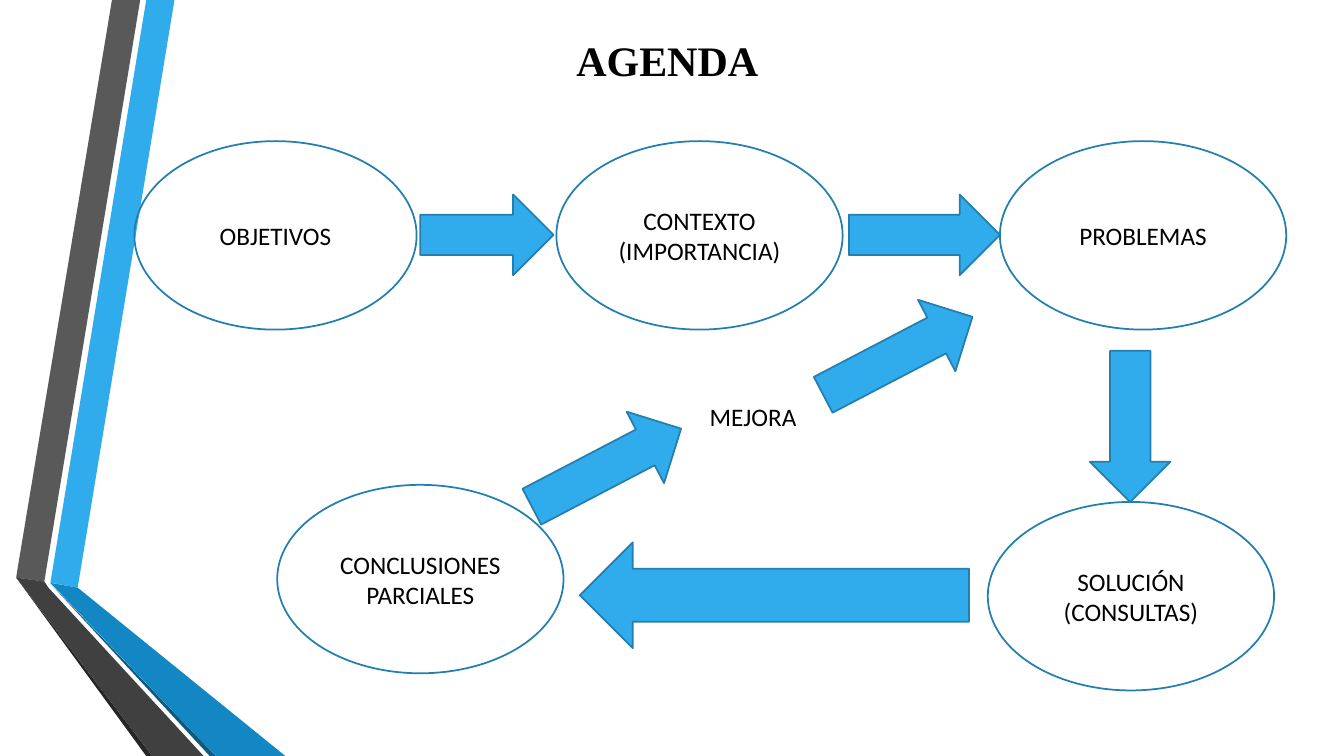
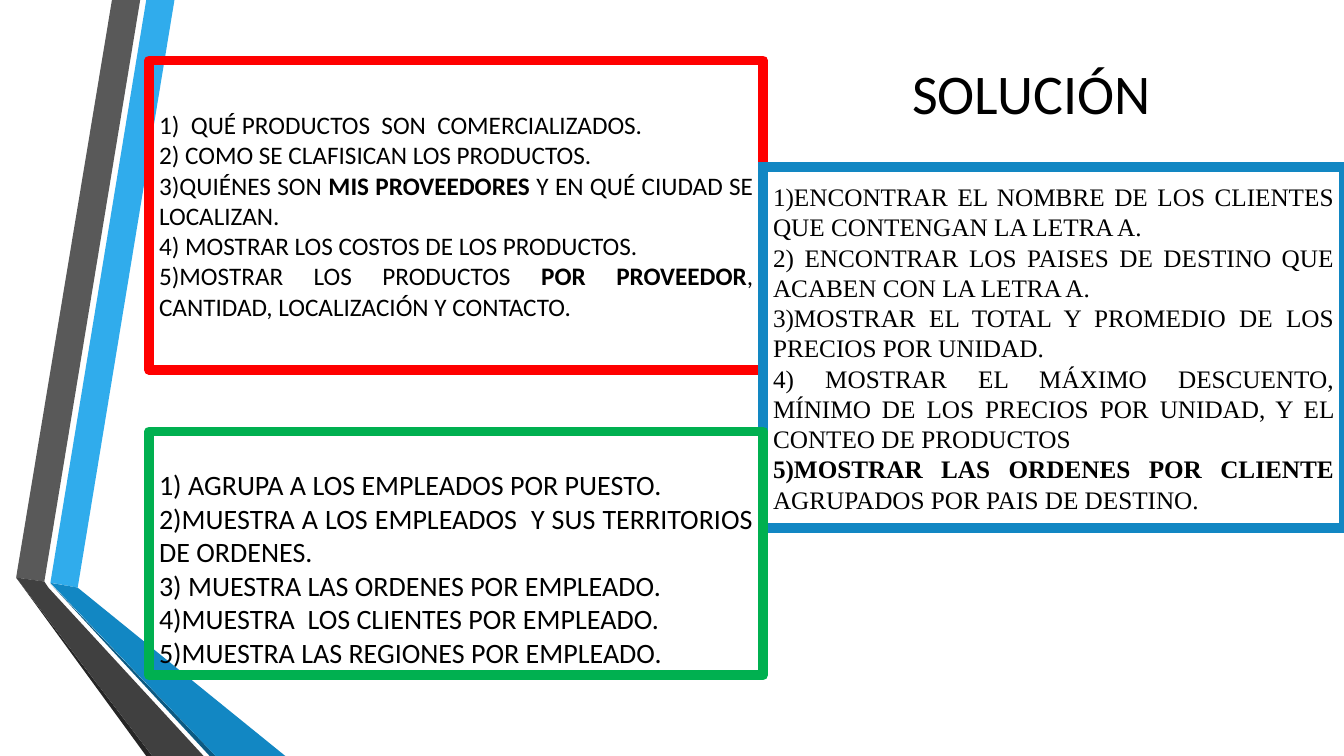
import pptx
import pptx.dml.color
import pptx.enum.shapes
import pptx.enum.text
import pptx.oxml
import pptx.oxml.ns
import pptx.util

SLIDE_WIDTH = pptx.util.Inches(13.33)
SLIDE_HEIGHT = pptx.util.Inches(7.5)

BLACK, BLUE, OUTLINE, DEEP_BLUE = "000000", "30ACEC", "247FAF", "1287C3"
RED, GREEN = "FF0000", "00B050"
SANS, SERIF = "Calibri", "Times New Roman"

SHAPE = pptx.enum.shapes.MSO_SHAPE
ALIGN = pptx.enum.text.PP_ALIGN
ANCHOR = pptx.enum.text.MSO_ANCHOR

# Corners of the side ribbon, in percent of the slide, from back to front
RIBBON = [
    (BLUE, [(3.75, 77.07), (5.78, 77.73), (12.98, 0), (10.88, 0)]),
    ("595959", [(10.43, 0), (8.33, 0), (1.2, 76.4), (3.3, 76.93)]),
    ("262626", [(1.2, 76.4), (10.88, 100), (11.33, 100)]),
    ("0C5A82", [(3.75, 77.2), (15.6, 100), (16.05, 100)]),
    (DEEP_BLUE, [(3.75, 77.1), (16.05, 100), (21.23, 100), (5.78, 77.73)]),
    ("404040", [(15.15, 100), (3.6, 77.73), (3.3, 76.93), (1.2, 76.4),
                (11.33, 100)]),
]

# Flow diagram: sizes and places in percent of the slide
STAGE_WIDTH, STAGE_HEIGHT = 21.3, 24.93
TOP_ROW = 18.67
ARROW_HEIGHT = 10.67
ARROW_ROW = 25.73
SLOPE = 332.4

STAGES = [
    (10, TOP_ROW, 21, ["OBJETIVOS"]),
    (41.4, TOP_ROW, STAGE_WIDTH, ["CONTEXTO", "(IMPORTANCIA)"]),
    (74.4, TOP_ROW, STAGE_WIDTH, ["PROBLEMAS"]),
    (73.5, 66.4, STAGE_WIDTH, ["SOLUCIÓN", "(CONSULTAS)"]),
    (20.63, 64.13, STAGE_WIDTH, ["CONCLUSIONES", "PARCIALES"]),
]

ARROWS = [
    (31.28, ARROW_ROW, 9.9, ARROW_HEIGHT, 0),
    (63.16, ARROW_ROW, 11.25, ARROW_HEIGHT, 0),
    (78.47, 51.07, 11.25, ARROW_HEIGHT, 90),
    (43.14, 71.73, 28.96, 14, 180),
    (38.86, 56.53, 12.53, ARROW_HEIGHT, SLOPE),
    (60.54, 41.73, 12.53, ARROW_HEIGHT, SLOPE),
]

# Query lists; text between asterisks is bold
PRODUCT_QUERIES = [
    "1)  QUÉ PRODUCTOS  SON  COMERCIALIZADOS.",
    "2) COMO SE CLAFISICAN LOS PRODUCTOS.",
    "3)QUIÉNES SON *MIS PROVEEDORES* Y EN QUÉ CIUDAD SE LOCALIZAN.",
    "4) MOSTRAR LOS COSTOS DE LOS PRODUCTOS.",
    "5)MOSTRAR LOS PRODUCTOS *POR PROVEEDOR*, CANTIDAD, LOCALIZACIÓN "
    "Y CONTACTO.",
]
ORDER_QUERIES = [
    "1)ENCONTRAR EL NOMBRE DE LOS CLIENTES QUE CONTENGAN LA LETRA A.",
    "2) ENCONTRAR LOS PAISES DE DESTINO QUE ACABEN CON LA LETRA A.",
    "3)MOSTRAR EL TOTAL Y PROMEDIO DE LOS PRECIOS POR UNIDAD.",
    "4) MOSTRAR EL MÁXIMO DESCUENTO, MÍNIMO DE LOS PRECIOS POR UNIDAD, "
    "Y EL CONTEO DE PRODUCTOS",
    "*5)MOSTRAR LAS ORDENES POR CLIENTE *AGRUPADOS POR PAIS DE DESTINO.",
]
EMPLOYEE_QUERIES = [
    "1) AGRUPA A LOS EMPLEADOS POR PUESTO.",
    "2)MUESTRA A LOS EMPLEADOS  Y SUS TERRITORIOS DE ORDENES.",
    "3) MUESTRA LAS ORDENES POR EMPLEADO.",
    "4)MUESTRA  LOS CLIENTES POR EMPLEADO.",
    "5)MUESTRA LAS REGIONES POR EMPLEADO.",
]


def color(hex_string):
    return pptx.dml.color.RGBColor.from_string(hex_string)


def across(percent):
    return round(SLIDE_WIDTH * percent / 100)


def down(percent):
    return round(SLIDE_HEIGHT * percent / 100)


def area(left, top, width, height):
    return across(left), down(top), across(width), down(height)


def paint(shape, fill=None, line=None, line_width=1.25):
    """Set fill and outline; None leaves the part empty."""
    shape.shadow.inherit = False
    if fill:
        shape.fill.solid()
        shape.fill.fore_color.rgb = color(fill)
    else:
        shape.fill.background()
    if line:
        shape.line.color.rgb = color(line)
        shape.line.width = pptx.util.Pt(line_width)
    else:
        shape.line.fill.background()


def write(shape, lines, size=18, font=SANS, bold=False, align=ALIGN.CENTER,
          anchor=ANCHOR.MIDDLE):
    """Write one paragraph per line, with bold between asterisks."""
    frame = shape.text_frame
    frame.word_wrap = True
    frame.vertical_anchor = anchor
    for number, line in enumerate(lines):
        paragraph = frame.paragraphs[0] if number == 0 else frame.add_paragraph()
        paragraph.alignment = align
        paragraph.font.size = pptx.util.Pt(size)
        paragraph.font.name = font
        paragraph.font.bold = bold
        paragraph.font.color.rgb = color(BLACK)
        for position, part in enumerate(line.split("*")):
            if part:
                run = paragraph.add_run()
                run.text = part
                if position % 2:
                    run.font.bold = True


def add_text(slide, place, lines, **style):
    write(slide.shapes.add_textbox(*area(*place)), lines, **style)


def add_stage(slide, left, top, width, lines):
    place = area(left, top, width, STAGE_HEIGHT)
    stage = slide.shapes.add_shape(SHAPE.OVAL, *place)
    paint(stage, line=OUTLINE)
    write(stage, lines)


def add_arrow(slide, left, top, width, height, rotation):
    place = area(left, top, width, height)
    arrow = slide.shapes.add_shape(SHAPE.RIGHT_ARROW, *place)
    paint(arrow, fill=BLUE, line=OUTLINE)
    arrow.rotation = rotation


def add_panel(slide, place, border, lines, join="round", **style):
    """Add an unfilled box with a thick border and justified text."""
    panel = slide.shapes.add_shape(SHAPE.RECTANGLE, *area(*place))
    paint(panel, line=border, line_width=7)
    outline = panel.element.spPr.find(pptx.oxml.ns.qn("a:ln"))
    namespace = pptx.oxml.ns.nsdecls("a")
    outline.append(pptx.oxml.parse_xml(f"<a:{join} {namespace}/>"))
    write(panel, lines, align=ALIGN.JUSTIFY, **style)
    return panel


def move_ribbon_to_layout(slide, layout):
    """Draw the ribbon and keep it on the layout that all slides share."""
    for fill, corners in RIBBON:
        points = [(across(x), down(y)) for x, y in corners]
        builder = slide.shapes.build_freeform(*points[0])
        builder.add_line_segments(points[1:], close=True)
        band = builder.convert_to_shape()
        paint(band, fill=fill)
        layout.shapes.element.append(band.element)


def build_agenda(slide):
    add_text(slide, (8.55, 0, 82.2, 15.73), ["AGENDA"], size=30, font=SERIF,
             bold=True)
    for stage in STAGES:
        add_stage(slide, *stage)
    for arrow in ARROWS:
        add_arrow(slide, *arrow)
    add_text(slide, (52.06, 52.4, 9, 5.33), ["MEJORA"], align=ALIGN.LEFT,
             anchor=ANCHOR.TOP)


def build_solution(slide):
    add_text(slide, (53.46, 6.27, 46.54, 11.73), ["SOLUCIÓN"], size=40)
    add_panel(slide, (11.1, 8, 45.68, 40.93), RED, PRODUCT_QUERIES)
    add_panel(slide, (56.78, 22.13, 43.22, 47.73), DEEP_BLUE, ORDER_QUERIES,
              join="miter", font=SERIF)
    employees = add_panel(slide, (11.1, 57.07, 45.68, 32.27), GREEN,
                          EMPLOYEE_QUERIES, size=20, anchor=ANCHOR.TOP)
    employees.text_frame.margin_top = down(4.75)
    employees.text_frame.margin_bottom = 0


def main():
    presentation = pptx.Presentation()
    presentation.slide_width = SLIDE_WIDTH
    presentation.slide_height = SLIDE_HEIGHT
    blank = presentation.slide_layouts[6]
    agenda = presentation.slides.add_slide(blank)
    move_ribbon_to_layout(agenda, blank)
    build_agenda(agenda)
    build_solution(presentation.slides.add_slide(blank))
    presentation.save("out.pptx")


main()
